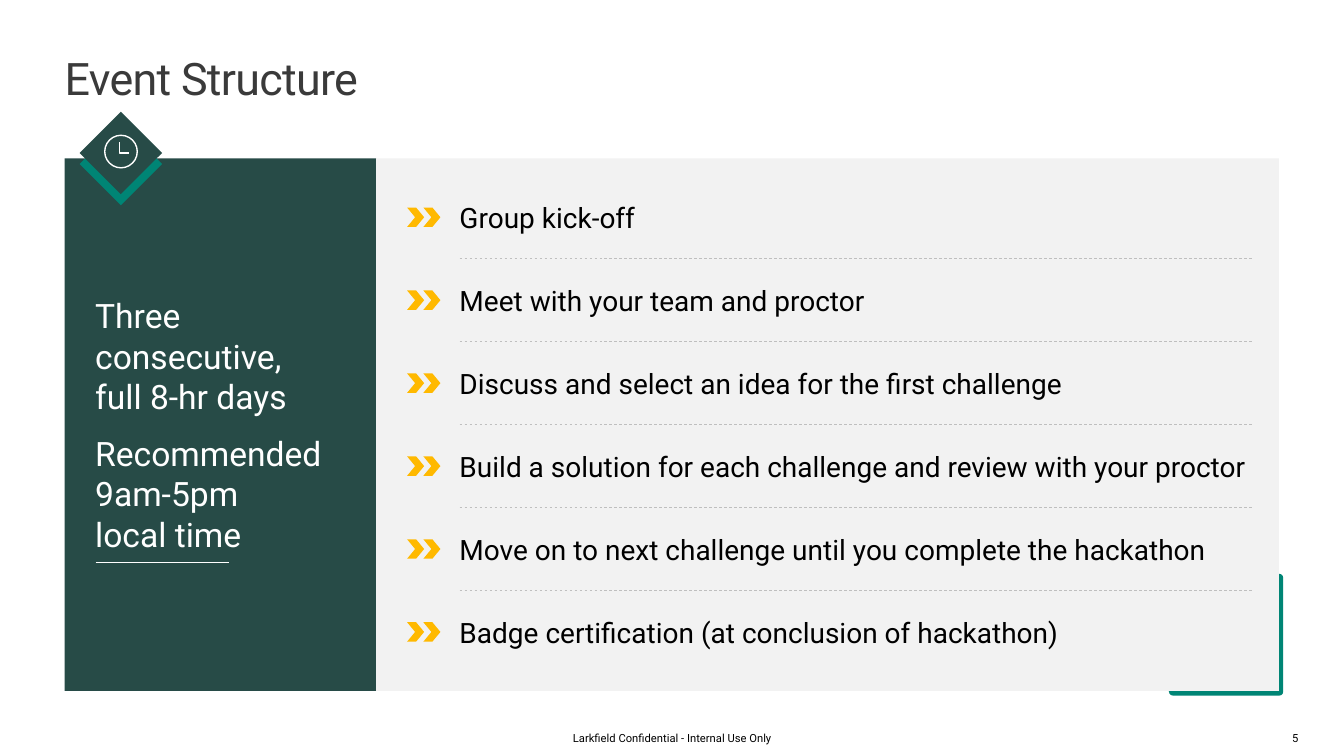
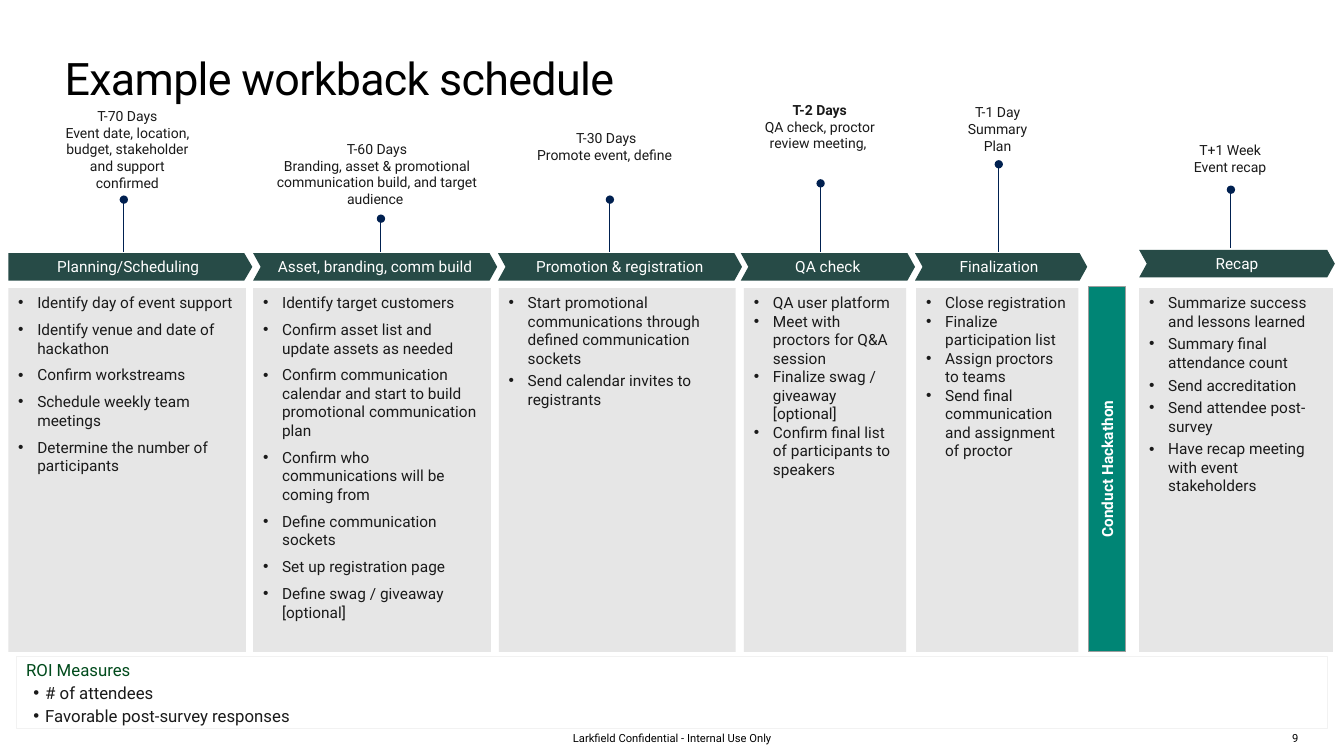
from dataclasses import dataclass

from lxml.etree import SubElement
from pptx import Presentation
from pptx.dml.color import RGBColor
from pptx.enum.dml import MSO_LINE
from pptx.enum.shapes import MSO_CONNECTOR, MSO_SHAPE as Preset
from pptx.enum.text import MSO_ANCHOR as Anchor, PP_ALIGN as Align
from pptx.oxml.ns import qn
from pptx.util import Cm, Pt

FONT = "Roboto"
DARK_GREEN, TEAL, AMBER = "274B47", "008575", "FFB900"
WHITE, BLACK, INK, NAVY = "FFFFFF", "000000", "1A1A1A", "002050"
PANEL_GREY, COLUMN_GREY, RULE_GREY = "F2F2F2", "E6E6E6", "BFBFBF"
NO_INSETS = (0, 0, 0, 0)
SHAPE_INSETS = (0.25, 0.13, 0.25, 0.13)

ACTIVITIES = [
    "Group kick-off",
    "Meet with your team and proctor",
    "Discuss and select an idea for the first challenge",
    "Build a solution for each challenge and review with your proctor",
    "Move on to next challenge until you complete the hackathon",
    "Badge certification (at conclusion of hackathon)",
]


@dataclass
class Phase:
    """One schedule column: header, task list and the milestone above it."""
    name: str
    header: tuple  # left, width
    column: tuple  # left, width
    tasks: list
    task_gap: int
    milestone: list
    milestone_box: tuple
    pin: tuple  # x, top
    header_top: float = 6.38


PHASES = [
    Phase("Planning/Scheduling", (0.21, 6.15), (0.21, 5.99),
          ["Identify day of event support", "Identify venue and date of hackathon",
           "Confirm workstreams", "Schedule weekly team meetings",
           "Determine the number of participants"], 6,
          ["T-70 Days",
           "Event date, location, budget, stakeholder and support confirmed"],
          (1.47, 2.7, 3.48, 2.13), (3.12, 5.03)),
    Phase("Asset, branding, comm build", (6.38, 6.15), (6.38, 5.99),
          ["Identify target customers", "Confirm asset list and update assets as needed",
           "Confirm communication calendar and start to build promotional "
           "communication plan",
           "Confirm who communications will be coming from",
           "Define communication sockets", "Set up registration page",
           "Define swag / giveaway [optional]"], 6,
          ["T-60 Days",
           "Branding, asset & promotional communication build, and target audience "],
          (6.96, 3.53, 5.08, 1.7), (9.6, 5.51)),
    Phase("Promotion & registration", (12.55, 6.15), (12.57, 5.97),
          ["Start promotional communications through defined communication sockets",
           "Send calendar invites to registrants"], 3,
          ["T-30 Days", "Promote event, define "],
          (13.44, 3.25, 3.68, 0.86), (15.37, 5.03)),
    Phase("QA check", (18.67, 4.39), (18.75, 4.09),
          ["QA user platform", "Meet with proctors for Q&A session",
           "Finalize swag / giveaway [optional]",
           "Confirm final list of participants to speakers"], 0,
          [("T-2 Days", {"bold": True}), "QA check, proctor review meeting, "],
          (18.82, 2.55, 3.68, 1.28), (20.68, 4.62)),
    Phase("Finalization ", (23.06, 4.34), (23.09, 4.09),
          ["Close registration", "Finalize participation list",
           "Assign proctors to teams",
           "Send final communication and assignment of proctor"], 0,
          ["T-1 Day", "Summary Plan"],
          (24.16, 2.62, 1.96, 1.27), (25.17, 4.14)),
    Phase("Recap", (28.71, 4.93), (28.71, 4.88),
          ["Summarize success and lessons learned", "Summary final attendance count",
           "Send accreditation", "Send attendee post-survey",
           "Have recap meeting with event stakeholders"], 3,
          ["T+1 Week", "Event recap"],
          (30.02, 3.56, 1.96, 0.86), (31.02, 4.78), 6.3),
]


def color(hex_code):
    return RGBColor.from_string(hex_code)


def add_bullet(paragraph, indent, hanging):
    props = paragraph._p.get_or_add_pPr()
    props.set("marL", str(Cm(indent)))
    props.set("indent", str(-Cm(hanging)))
    SubElement(props, qn("a:buFont")).set("typeface", "Arial")
    SubElement(props, qn("a:buChar")).set("char", "•")


def format_paragraph(paragraph, first, size=11, ink=INK, bold=False, align=Align.LEFT,
                     before=0, after=0, bullet=None, tracking=None):
    paragraph.alignment = align
    paragraph.space_before = Pt(0 if first else before)
    paragraph.space_after = Pt(after)
    if bullet:
        add_bullet(paragraph, *bullet)
    for run in paragraph.runs:
        font = run.font
        font.name, font.size, font.bold = FONT, Pt(size), bold
        font.color.rgb = color(ink)
        if tracking:
            run._r.get_or_add_rPr().set("spc", str(tracking))


def write(shape, paragraphs, anchor=Anchor.TOP, insets=SHAPE_INSETS, **style):
    """Fill a shape; a paragraph is a string or a (string, own style) pair."""
    frame = shape.text_frame
    frame.word_wrap = True
    frame.vertical_anchor = anchor
    (frame.margin_left, frame.margin_top,
     frame.margin_right, frame.margin_bottom) = map(Cm, insets)
    for i, item in enumerate(paragraphs):
        text, own = (item, {}) if isinstance(item, str) else item
        paragraph = frame.add_paragraph() if i else frame.paragraphs[0]
        paragraph.text = text
        format_paragraph(paragraph, i == 0, **{**style, **own})


def add_label(slide, box, paragraphs, **style):
    write(slide.shapes.add_textbox(*map(Cm, box)), paragraphs,
          insets=NO_INSETS, **style)


def paint(shape, fill=None, line=None, width=0.75):
    shape.shadow.inherit = False
    if fill:
        shape.fill.solid()
        shape.fill.fore_color.rgb = color(fill)
    else:
        shape.fill.background()
    if line:
        shape.line.color.rgb = color(line)
        shape.line.width = Pt(width)
    else:
        shape.line.fill.background()


def add_block(slide, box, fill=None, preset=Preset.RECTANGLE, adjust=None,
              rotation=0, **outline):
    block = slide.shapes.add_shape(preset, *map(Cm, box))
    paint(block, fill, **outline)
    block.rotation = rotation
    if adjust is not None:
        block.adjustments[0] = adjust
    return block


def add_rule(slide, start, end, ink, width=0.75, dash=None, dot=False):
    """Draw a straight line, with a dot at its start if asked."""
    rule = slide.shapes.add_connector(MSO_CONNECTOR.STRAIGHT, *map(Cm, start + end))
    rule.line.color.rgb = color(ink)
    rule.line.width = Pt(width)
    if dash:
        rule.line.dash_style = dash
    if dot:
        SubElement(rule.line._get_or_add_ln(), qn("a:headEnd")).set("type", "oval")
    SubElement(rule._element.spPr, qn("a:effectLst"))


def add_base_slide(deck, title, page, title_ink=BLACK):
    slide = deck.slides.add_slide(deck.slide_layouts[6])
    add_label(slide, (1.63, 1.27, 30.61, 1.37), [title], size=32, ink=title_ink,
              tracking=-50)
    for box, text in (((11.23, 18.43, 11.43, 0.33),
                       "Larkfield Confidential - Internal Use Only"),
                      ((32.34, 18.43, 0.61, 0.33), page)):
        add_label(slide, box, [text], size=8, ink=BLACK, align=Align.CENTER,
                  anchor=Anchor.MIDDLE)
    return slide


def add_clock_badge(slide):
    for top, fill in ((3.4, TEAL), (3.12, DARK_GREEN)):
        add_block(slide, (2.31, top, 1.47, 1.47), fill, rotation=45)
    add_block(slide, (2.64, 3.41, 0.82, 0.82), preset=Preset.OVAL, line=WHITE, width=1)
    pen = slide.shapes.build_freeform(Cm(3.02), Cm(3.58))
    pen.add_line_segments([(Cm(3.02), Cm(3.86)), (Cm(3.25), Cm(3.86))], close=False)
    paint(pen.convert_to_shape(), line=WHITE, width=1)


def add_activity(slide, index, text):
    pitch = 2.09
    offset = index * pitch
    add_label(slide, (11.58, 5.05 + offset, 20.03, 0.86), [text], size=20, ink=BLACK)
    for left in (10.26, 10.67):
        add_block(slide, (left, 5.23 + offset, 0.43, 0.49), AMBER, Preset.CHEVRON, 0.47)
    if index:
        y = 6.51 + offset - pitch
        add_rule(slide, (11.58, y), (31.6, y), RULE_GREY, 0.5, MSO_LINE.DASH)


def add_event_structure(deck):
    slide = add_base_slide(deck, "Event Structure", "5", "3A3A3A")
    add_block(slide, (29.46, 14.46, 2.88, 3.07), TEAL, Preset.ROUNDED_RECTANGLE, 0.036)
    timing = add_block(slide, (1.63, 3.99, 7.85, 13.42), DARK_GREEN)
    write(timing, ["Three consecutive, \vfull 8-hr days",
                   "Recommended \v9am-5pm \vlocal time"],
          anchor=Anchor.MIDDLE, insets=(0.77, 0.13, 0.77, 0.13),
          size=24, ink=WHITE, before=6, after=6)
    add_block(slide, (9.48, 3.99, 22.75, 13.42), PANEL_GREY)
    add_rule(slide, (2.41, 14.17), (5.77, 14.17), WHITE)
    add_clock_badge(slide)
    for index, text in enumerate(ACTIVITIES):
        add_activity(slide, index, text)


def add_phase(slide, phase, first):
    left, width = phase.header
    preset, adjust = (Preset.PENTAGON, 0.293) if first else (Preset.CHEVRON, 0.276)
    header = add_block(slide, (left, phase.header_top, width, 0.69), DARK_GREEN,
                       preset, adjust)
    write(header, [phase.name], anchor=Anchor.MIDDLE, ink=WHITE, align=Align.CENTER)

    left, width = phase.column
    write(add_block(slide, (left, 7.26, width, 9.17), COLUMN_GREY), phase.tasks,
          after=phase.task_gap, bullet=(0.48, 0.48))

    add_label(slide, phase.milestone_box, phase.milestone, size=10,
              align=Align.CENTER, anchor=Anchor.MIDDLE)
    add_rule(slide, phase.pin, (phase.pin[0], phase.header_top - 0.04), NAVY, dot=True)


def add_roi_measures(slide):
    measure = {"bullet": (0.48, 0.3), "before": 2}
    box = add_block(slide, (0.41, 16.54, 33.05, 1.82), line=PANEL_GREY, width=0.5)
    write(box, [("ROI Measures", {"ink": "004B1C"}),
                ("# of attendees", measure),
                ("Favorable post-survey responses", measure)],
          anchor=Anchor.MIDDLE, insets=(0.25, 0, 0.25, 0), size=12)


def add_workback_schedule(deck):
    slide = add_base_slide(deck, "Example workback schedule", "9")
    for index, phase in enumerate(PHASES):
        add_phase(slide, phase, index == 0)
    hackathon = add_block(slide, (23.3, 11.35, 9.19, 0.94), TEAL, rotation=270,
                          line="9E9E9E")
    write(hackathon, ["Conduct Hackathon"], anchor=Anchor.MIDDLE, ink=WHITE,
          bold=True, align=Align.CENTER)
    add_roi_measures(slide)


def main():
    deck = Presentation()
    deck.slide_width, deck.slide_height = Cm(33.87), Cm(19.05)
    add_event_structure(deck)
    add_workback_schedule(deck)
    deck.save("out.pptx")


if __name__ == "__main__":
    main()
